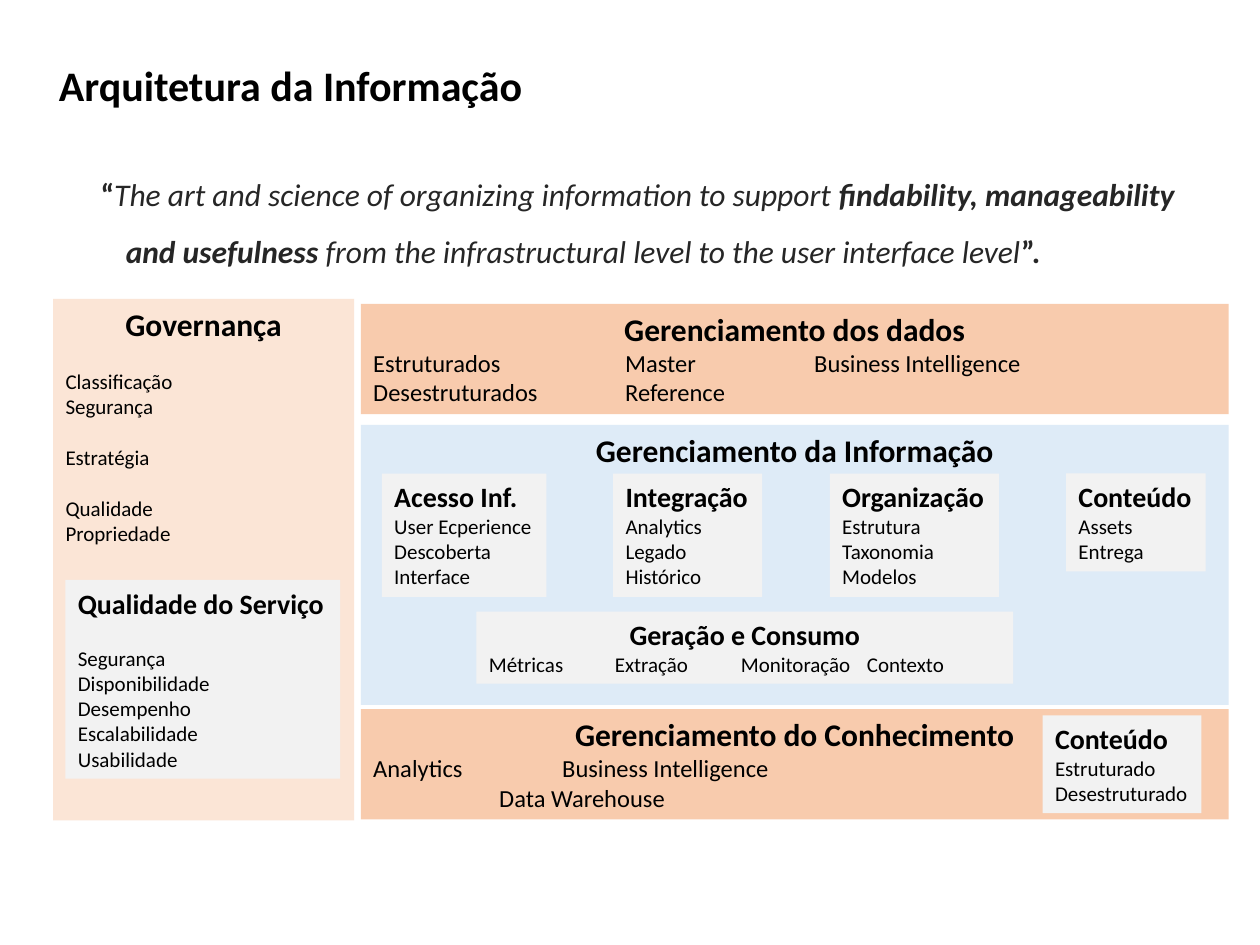
from pptx import Presentation
from pptx.dml.color import RGBColor
from pptx.enum.shapes import MSO_SHAPE
from pptx.enum.text import MSO_ANCHOR, PP_ALIGN
from pptx.util import Pt

FONT = "Calibri"
COLORS = {
    "text": "000000",
    "quote": "262626",
    "governance": "FBE5D6",
    "orange": "F8CBAD",
    "blue": "DEEBF7",
    "card": "F2F2F2",
}
GROUP_GAP = 14.65  # one 12 pt line


def style(font, size, color, bold=False, italic=False):
    font.name = FONT
    font.size = Pt(size)
    font.color.rgb = RGBColor.from_string(COLORS[color])
    font.bold = bold
    font.italic = italic


def add_block(frame, fill, sizes, groups, centered=False, wrap=False):
    """Draw a filled box; the first line of the first group is its heading."""
    box = page.shapes.add_shape(MSO_SHAPE.RECTANGLE, *[Pt(length) for length in frame])
    box.shadow.inherit = False
    box.fill.solid()
    box.fill.fore_color.rgb = RGBColor.from_string(COLORS[fill])
    box.line.fill.background()
    text_frame = box.text_frame
    text_frame.word_wrap = wrap
    text_frame.vertical_anchor = MSO_ANCHOR.TOP
    text_frame.text = "\n".join(line for group in groups for line in group)
    paragraphs = text_frame.paragraphs
    for index, para in enumerate(paragraphs):
        heading = index == 0
        para.alignment = PP_ALIGN.CENTER if heading and centered else PP_ALIGN.LEFT
        style(para.font, sizes[0] if heading else sizes[1], "text", bold=heading)
    start = 0
    for group in groups[:-1]:
        start += len(group)
        paragraphs[start].space_before = Pt(GROUP_GAP)


deck = Presentation()
deck.slide_width, deck.slide_height = Pt(720), Pt(540)
page = deck.slides.add_slide(deck.slide_layouts[6])

# Title
title = page.shapes.add_textbox(Pt(26.6), Pt(0), Pt(526.3), Pt(100.8)).text_frame
title.word_wrap = True
title.vertical_anchor = MSO_ANCHOR.MIDDLE
title.text = "Arquitetura da Informação"
title.paragraphs[0].line_spacing = 0.9
style(title.paragraphs[0].font, 24, "text", bold=True)

# Quotation with a hanging indent
quote = page.shapes.add_textbox(Pt(50.4), Pt(85.7), Pt(652.3), Pt(74.2)).text_frame
quote.word_wrap = True
para = quote.paragraphs[0]
para.line_spacing = 1.5
properties = para._p.get_or_add_pPr()
properties.set("marL", str(Pt(14.4)))
properties.set("indent", str(-Pt(14.4)))
for text, bold, italic in [
    ("“", True, False),
    ("The art and science of organizing information to support ", False, True),
    ("findability, manageability and usefulness ", True, True),
    ("from the infrastructural level to the user interface level", False, True),
    ("”.", True, False),
]:
    span = para.add_run()
    span.text = text
    style(span.font, 18, "quote", bold, italic)

# Governance column
add_block((30.4, 170.8, 172, 298), "governance", (18, 12), [
    ["Governança"],
    ["Classificação", "Segurança"],
    ["Estratégia"],
    ["Qualidade", "Propriedade"],
], centered=True, wrap=True)
add_block((37.4, 331.4, 157, 113.6), "card", (16, 12), [
    ["Qualidade do Serviço"],
    ["Segurança", "Disponibilidade", "Desempenho", "Escalabilidade", "Usabilidade"],
])

# Management bands
for top, height, fill, lines in [
    (173.7, 63, "orange", ["Gerenciamento dos dados",
                           "Estruturados\t\tMaster\t\tBusiness Intelligence",
                           "Desestruturados\t\tReference"]),
    (242.8, 160, "blue", ["Gerenciamento da Informação"]),
    (405.2, 63, "orange", ["Gerenciamento do Conhecimento",
                           "Analytics\t\tBusiness Intelligence",
                           "\t\tData Warehouse"]),
]:
    add_block((206.2, top, 496, height), fill, (18, 14), [lines], centered=True, wrap=True)

# Cards on the bands
for left, top, width, lines in [
    (218.2, 270.6, 94, ["Acesso Inf.", "User Ecperience", "Descoberta", "Interface"]),
    (350.4, 270.6, 85.2, ["Integração", "Analytics", "Legado", "Histórico"]),
    (474.2, 270.6, 96.6, ["Organização", "Estrutura", "Taxonomia", "Modelos"]),
    (609.2, 270.6, 79.8, ["Conteúdo", "Assets", "Entrega"]),
    (595.8, 408.8, 90.8, ["Conteúdo", "Estruturado", "Desestruturado"]),
]:
    height = 26.7 + 14.6 * (len(lines) - 1)
    add_block((left, top, width, height), "card", (16, 12), [lines])
add_block((272.3, 349.5, 306.7, 41.2), "card", (16, 12), [
    ["Geração e Consumo", "Métricas\tExtração\tMonitoração\tContexto"],
], centered=True, wrap=True)

deck.save("out.pptx")
